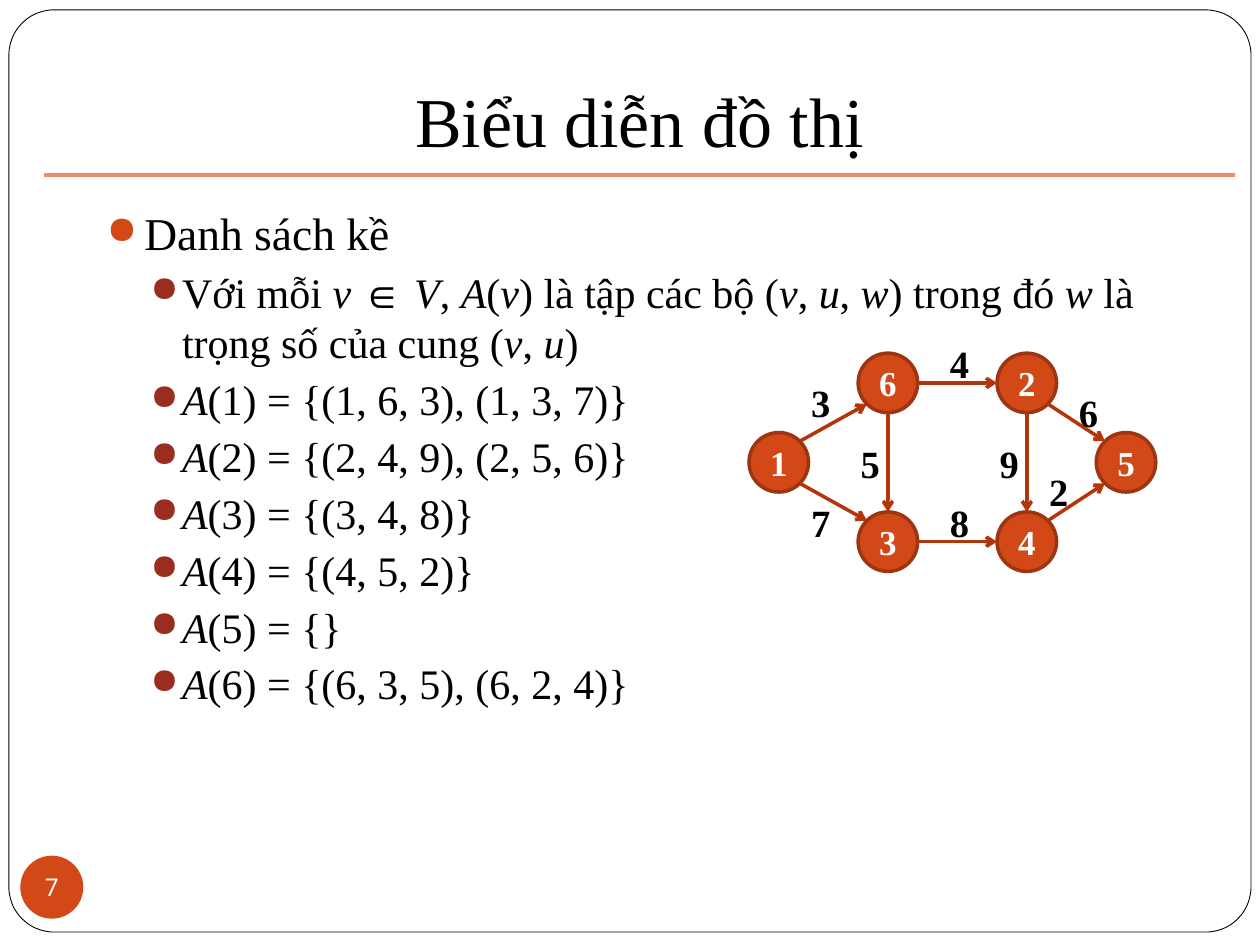
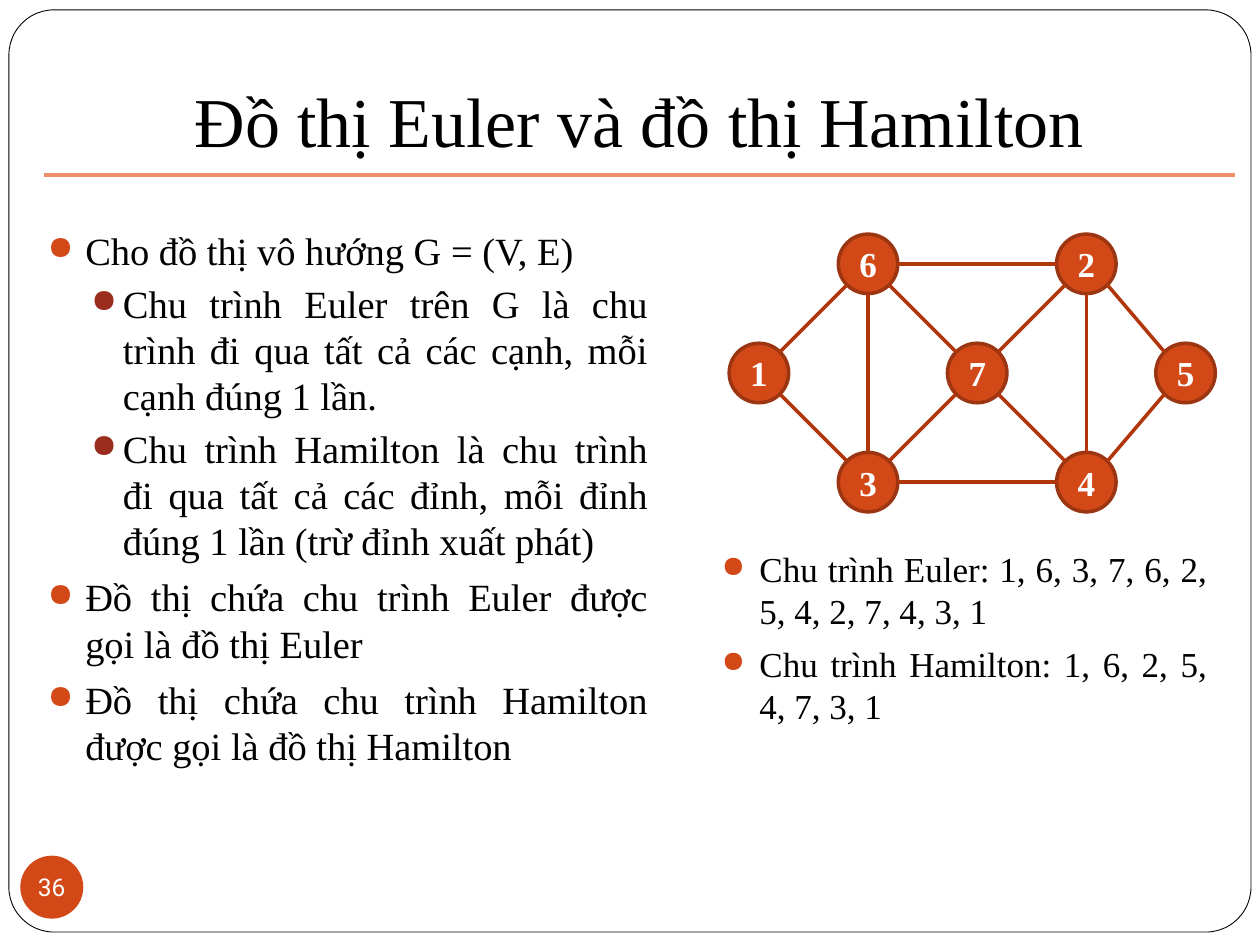
from math import hypot
from lxml.etree import SubElement
from pptx import Presentation
from pptx.dml.color import RGBColor
from pptx.enum.shapes import MSO_CONNECTOR, MSO_SHAPE
from pptx.enum.text import MSO_ANCHOR, PP_ALIGN
from pptx.oxml.ns import qn
from pptx.util import Cm, Pt

SERIF = "Times New Roman"
BLACK, WHITE = "000000", "FFFFFF"
ORANGE, RUST = "D34817", "9B2D1F"
NODE_BORDER, EDGE_COLOR, RULE_COLOR = "9C3511", "B1360B", "EF8C6A"
BULLETS = [
    {"color": ORANGE, "left": 0.76, "hang": 0.76, "before": 5.8},
    {"color": RUST, "left": 1.52, "hang": 0.64, "before": 3.7},
]
NODE_SIZE = 1.2
COLUMN_STEP = 2.2

pages = [
    {
        "title": "Biểu diễn đồ thị",
        "number": "7",
        "texts": [
            {
                "place": (1.9, 4.01, 21.41, 13.89),
                "sizes": (26, 24),
                "align": PP_ALIGN.LEFT,
                "lines": [
                    (0, "Danh sách kề"),
                    (1, "Với mỗi *v *∈ *V*, *A*(*v*) là tập các bộ (*v*, *u*, *w*) "
                        "trong đó *w *là trọng số của cung (*v*, *u*)"),
                    (1, "*A*(1) = {(1, 6, 3), (1, 3, 7)}"),
                    (1, "*A*(2) = {(2, 4, 9), (2, 5, 6)}"),
                    (1, "*A*(3) = {(3, 4, 8)}"),
                    (1, "*A*(4) = {(4, 5, 2)}"),
                    (1, "*A*(5) = {}"),
                    (1, "*A*(6) = {(6, 3, 5), (6, 2, 4)}"),
                ],
            },
        ],
        "columns": [15.7, 17.9, 20.7, 22.7],
        "rows": [7.72 + 1.6 * row for row in range(3)],
        "nodes": {"1": (0, 1), "6": (1, 0), "3": (1, 2), "2": (2, 0), "4": (2, 2), "5": (3, 1)},
        "edges": ["16", "13", "62", "25", "45", "34", "63", "24"],
        "directed": True,
        "weights": [
            ("3", 16.1, 7.52), ("4", 18.9, 6.73), ("7", 16.1, 9.93), ("5", 17.1, 8.74),
            ("8", 18.9, 9.93), ("9", 19.9, 8.74), ("6", 21.5, 7.72), ("2", 20.9, 9.32),
        ],
    },
    {
        "title": "Đồ thị Euler và đồ thị Hamilton",
        "number": "36",
        "texts": [
            {
                "place": (14.3, 10.92, 10.29, 6.6),
                "sizes": (20, 20),
                "align": PP_ALIGN.JUSTIFY,
                "lines": [
                    (0, "Chu trình Euler: 1, 6, 3, 7, 6, 2, 5, 4, 2, 7, 4, 3, 1"),
                    (0, "Chu trình Hamilton: 1, 6, 2, 5, 4, 7, 3, 1"),
                ],
            },
            {
                "place": (0.71, 4.45, 12.6, 12.67),
                "sizes": (22, 22),
                "align": PP_ALIGN.JUSTIFY,
                "lines": [
                    (0, "Cho đồ thị vô hướng G = (V, E)"),
                    (1, "Chu trình Euler trên G là chu trình đi qua tất cả các cạnh, "
                        "mỗi cạnh đúng 1 lần."),
                    (1, "Chu trình Hamilton là chu trình đi qua tất cả các đỉnh, "
                        "mỗi đỉnh đúng 1 lần (trừ đỉnh xuất phát)"),
                    (0, "Đồ thị chứa chu trình Euler được gọi là đồ thị Euler"),
                    (0, "Đồ thị chứa chu trình Hamilton được gọi là đồ thị Hamilton"),
                ],
            },
        ],
        "columns": [15.3 + COLUMN_STEP * column for column in range(4)] + [23.9],
        "rows": [5.32 + COLUMN_STEP * row for row in range(3)],
        "nodes": {"1": (0, 1), "6": (1, 0), "3": (1, 2), "2": (3, 0), "4": (3, 2),
                  "5": (4, 1), "7": (2, 1)},
        "edges": ["16", "13", "62", "25", "45", "34", "63", "24", "67", "37", "72", "74"],
        "directed": False,
        "weights": [],
    },
]


def paint(color_format, color):
    if hasattr(color_format, "solid"):
        color_format.solid()
        color_format = color_format.fore_color
    color_format.rgb = RGBColor.from_string(color)


def write(shape, lines, sizes, color=BLACK, face=SERIF, bold=False, align=PP_ALIGN.CENTER):
    frame = shape.text_frame
    frame.word_wrap = True
    for index, (level, text) in enumerate(lines):
        para = frame.add_paragraph() if index else frame.paragraphs[0]
        para.alignment = align
        if level is not None:
            bullet = BULLETS[level]
            para.level = level
            if index:
                para.space_before = Pt(bullet["before"])
            properties = para._p.get_or_add_pPr()
            properties.set("marL", str(Cm(bullet["left"])))
            properties.set("indent", str(-Cm(bullet["hang"])))
            bullet_color = SubElement(properties, qn("a:buClr"))
            SubElement(bullet_color, qn("a:srgbClr"), val=bullet["color"])
            SubElement(properties, qn("a:buSzPct"), val="85000")
            SubElement(properties, qn("a:buChar"), char="●")
        para.font.name = face
        para.font.size = Pt(sizes[level or 0])
        para.font.bold = bold
        paint(para.font.color, color)
        for part, words in enumerate(text.split("*")):
            if words:
                span = para.add_run()
                span.text = words
                if part % 2:
                    span.font.italic = True


deck = Presentation()
deck.slide_width, deck.slide_height = Cm(25.4), Cm(19.05)

for content in pages:
    page = deck.slides.add_slide(deck.slide_layouts[6])
    shapes = page.shapes

    border = shapes.add_shape(MSO_SHAPE.ROUNDED_RECTANGLE, Cm(0.18), Cm(0.2), Cm(25.04), Cm(18.59))
    border.adjustments[0] = 0.049
    border.shadow.inherit = False
    paint(border.fill, WHITE)
    paint(border.line.color, BLACK)
    border.line.width = Pt(0.5)

    title = shapes.add_textbox(Cm(0.89), Cm(0.33), Cm(24), Cm(3.18))
    title.text_frame.vertical_anchor = MSO_ANCHOR.BOTTOM
    title.text_frame.margin_bottom = Cm(0.25)
    write(title, [(None, content["title"])], [40])

    badge = shapes.add_shape(MSO_SHAPE.OVAL, Cm(0.41), Cm(17.25), Cm(1.27), Cm(1.27))
    badge.shadow.inherit = False
    paint(badge.fill, ORANGE)
    badge.line.fill.background()
    frame = badge.text_frame
    frame.margin_left = frame.margin_right = frame.margin_top = frame.margin_bottom = 0
    write(badge, [(None, content["number"])], [14], WHITE, "Roboto")
    frame.word_wrap = False

    for text in content["texts"]:
        box = shapes.add_textbox(*[Cm(length) for length in text["place"]])
        write(box, text["lines"], text["sizes"], align=text["align"])

    radius = NODE_SIZE / 2
    centers = {}
    for name, (column, row) in content["nodes"].items():
        x, y = content["columns"][column], content["rows"][row]
        centers[name] = x, y
        node = shapes.add_shape(MSO_SHAPE.OVAL, Cm(x - radius), Cm(y - radius),
                                Cm(NODE_SIZE), Cm(NODE_SIZE))
        node.shadow.inherit = False
        paint(node.fill, ORANGE)
        paint(node.line.color, NODE_BORDER)
        node.line.width = Pt(2)
        node.text_frame.vertical_anchor = MSO_ANCHOR.MIDDLE
        write(node, [(None, name)], [20], WHITE, bold=True)

    lines = [(0.89, 3.53, 24.89, 3.53, RULE_COLOR, False)]
    for start, end in content["edges"]:
        (x1, y1), (x2, y2) = centers[start], centers[end]
        across = (x2 > x1) - (x2 < x1)
        down = (y2 > y1) - (y2 < y1)
        reach = radius / hypot(across, down)
        lines.append((x1 + across * reach, y1 + down * reach,
                      x2 - across * reach, y2 - down * reach,
                      EDGE_COLOR, content["directed"]))

    for x1, y1, x2, y2, color, arrow in lines:
        line = shapes.add_connector(MSO_CONNECTOR.STRAIGHT, Cm(x1), Cm(y1), Cm(x2), Cm(y2))
        paint(line.line.color, color)
        line.line.width = Pt(2)
        if arrow:
            SubElement(line.line._get_or_add_ln(), qn("a:tailEnd"), type="arrow")
        SubElement(line._element.spPr, qn("a:effectLst"))

    for weight, left, top in content["weights"]:
        label = shapes.add_textbox(Cm(left), Cm(top), Cm(1), Cm(1.19))
        write(label, [(None, weight)], [22], bold=True, align=PP_ALIGN.LEFT)

deck.save("out.pptx")
